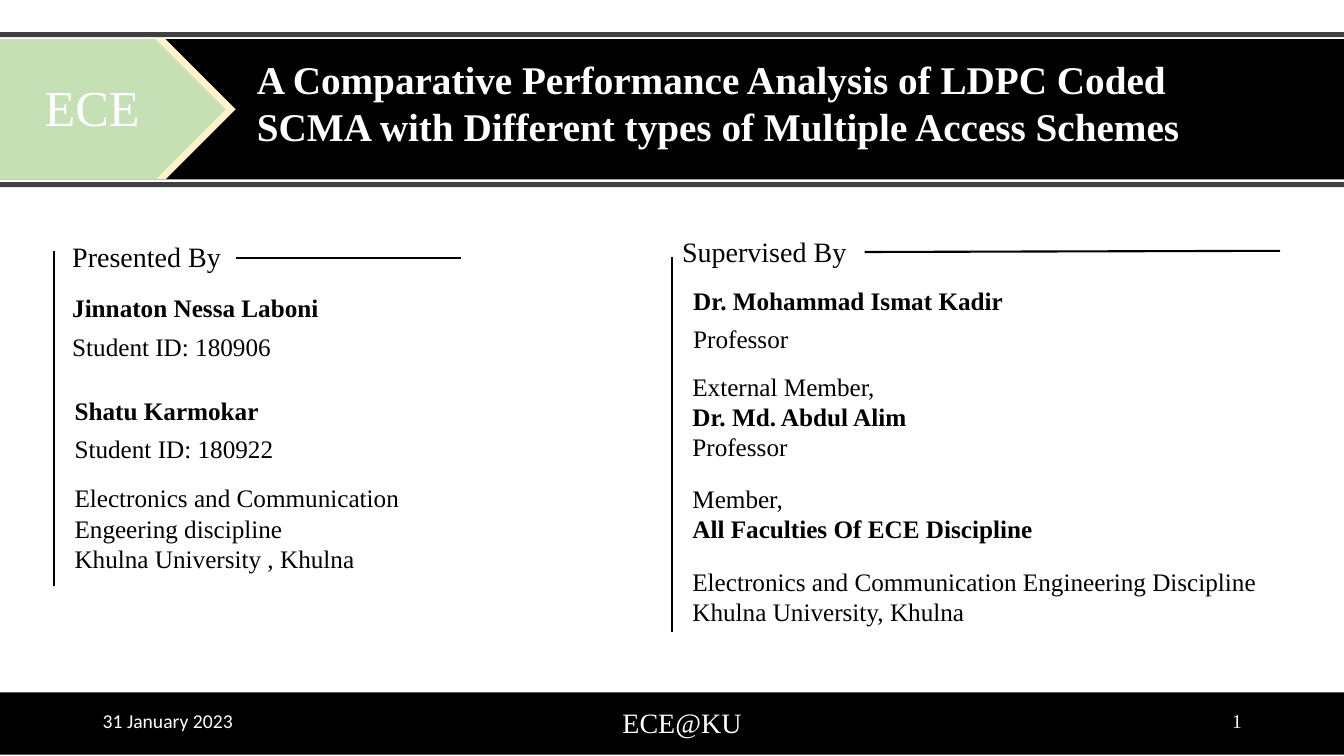
from lxml import etree
from pptx import Presentation
from pptx.dml.color import RGBColor
from pptx.enum.shapes import MSO_CONNECTOR as Link, MSO_SHAPE as Kind
from pptx.enum.text import MSO_ANCHOR as Anchor, MSO_AUTO_SIZE as Fit, PP_ALIGN as Align
from pptx.oxml.ns import qn
from pptx.util import Cm, Pt

SERIF = "Times New Roman"
BLACK, WHITE, GRAY = "000000", "FFFFFF", "404040"
GREEN, CREAM = "C5E0B4", "FFF2CC"


def paint(part, tint):
    part.rgb = RGBColor.from_string(tint)


def block(slide, kind, x, y, w, h, tint):
    shape = slide.shapes.add_shape(kind, Cm(x), Cm(y), Cm(w), Cm(h))
    shape.shadow.inherit = False
    shape.fill.solid()
    paint(shape.fill.fore_color, tint)
    shape.line.fill.background()


def rule(slide, x1, y1, x2, y2):
    line = slide.shapes.add_connector(Link.STRAIGHT, Cm(x1), Cm(y1), Cm(x2), Cm(y2))
    paint(line.line.color, BLACK)
    line.line.width = Pt(1.5)
    etree.SubElement(line._element.spPr, qn("a:effectLst"))


def write(frame, rows, size, tint, font=SERIF, align=Align.LEFT, anchor=Anchor.TOP, after=0):
    """Fill a frame with rows of (text, bold, line spacing)."""
    frame.word_wrap = True
    frame.auto_size = Fit.NONE
    frame.vertical_anchor = anchor
    for i, (words, bold, lead) in enumerate(rows):
        para = frame.add_paragraph() if i else frame.paragraphs[0]
        para.alignment = align
        para.line_spacing = lead
        para.space_before, para.space_after = Pt(0), Pt(after)
        run = para.add_run()
        run.text = words
        run.font.name, run.font.size, run.font.bold = font, Pt(size), bold
        paint(run.font.color, tint)


def label(slide, x, y, w, h, rows, size, tint, **style):
    box = slide.shapes.add_textbox(Cm(x), Cm(y), Cm(w), Cm(h))
    write(box.text_frame, rows, size, tint, **style)


def plain(words):
    return words, False, 1.0


def strong(words, lead=1.0):
    return words, True, lead


def header(slide, x, y, w, h):
    # Band between two thin rules
    edge, gap = 0.13, 0.18
    tall = h - 2 * gap - 0.02
    block(slide, Kind.RECTANGLE, x, y + gap, w, tall, BLACK)
    for top in (y, y + h - edge):
        block(slide, Kind.RECTANGLE, x, top, w, edge, GRAY)

    # Layered arrow with its tag
    for wide, tint in ((5.94, CREAM), (5.69, GREEN)):
        block(slide, Kind.PENTAGON, x, y + gap, wide, tall, tint)
    label(slide, x + 0.66, y + 0.99, 3.33, 1.8, [plain("ECE")], 36, WHITE, align=Align.CENTER)

    # Title, raised above the band
    title = slide.shapes.title
    title.left, title.top = Cm(x + 6.22), Cm(y + 0.46)
    title.width, title.height = Cm(23.93), Cm(3.43)
    words = "A Comparative Performance Analysis of LDPC Coded SCMA with Different types of Multiple Access Schemes"
    write(title.text_frame, [strong(words)], 28, WHITE)
    slide.shapes._spTree.append(title._element)


def panel(slide, x, y, head, bar, dash, notes):
    """Heading with a side bar, a dash beside it and notes below."""
    inset, words, wide = head
    label(slide, x + inset, y, wide, 1.12, [plain(words)], 20, BLACK)
    start, end = bar
    rule(slide, x, y + start, x, y + end)
    x1, y1, x2, y2 = dash
    rule(slide, x + x1, y + y1, x + x2, y + y2)
    for dx, dy, w, h, after, rows in notes:
        label(slide, x + dx, y + dy, w, h, rows, 18, BLACK, after=after)


def footer(slide, x, y, w, h):
    block(slide, Kind.RECTANGLE, x, y, w, h, BLACK)
    top = y + 0.2
    label(slide, x + 2.34, top, 7.62, 1.02, [plain("31 January 2023")], 14, WHITE,
          font="Calibri", anchor=Anchor.MIDDLE)
    label(slide, x + 13.42, top, 7.54, 1.12, [plain("ECE@KU")], 20, WHITE, align=Align.CENTER)
    label(slide, x + w - 9.94, top, 7.62, 1.02, [plain("1")], 14, WHITE,
          align=Align.RIGHT, anchor=Anchor.MIDDLE)


def main():
    deck = Presentation()
    deck.slide_width, deck.slide_height = Cm(33.87), Cm(19.05)
    slide = deck.slides.add_slide(deck.slide_layouts[5])

    header(slide, 0, 0.81, 33.87, 3.91)

    # Presenters
    panel(slide, 1.35, 5.92, (0.22, "Presented By", 4.88), (0.4, 8.84), (4.59, 0.58, 10.26, 0.58), [
        (0.22, 1.32, 7.14, 2, 6, [strong("Jinnaton Nessa Laboni"), plain("Student ID: 180906")]),
        (0.28, 3.53, 8.13, 2.4, 6, [strong("Shatu Karmokar", 1.5), plain("Student ID: 180922")]),
        (0.28, 6.12, 11.3, 2.56, 0, [plain("Electronics and Communication Engeering discipline"),
                                     plain("Khulna University , Khulna")]),
    ])

    # Supervisors
    panel(slide, 16.94, 5.79, (0, "Supervised By", 5.11), (0.69, 10.14), (4.85, 0.56, 15.32, 0.53), [
        (0.28, 1.27, 8.66, 2, 6, [strong("Dr. Mohammad Ismat Kadir"), plain("Professor")]),
        (0.26, 3.43, 6.55, 2.56, 0, [plain("External Member,"), strong("Dr. Md. Abdul Alim"),
                                     plain("Professor")]),
        (0.26, 6.27, 9.3, 1.8, 0, [plain("Member,"), strong("All Faculties Of ECE Discipline")]),
        (0.26, 8.36, 14.83, 1.8, 0, [plain("Electronics and Communication Engineering Discipline"),
                                     plain("Khulna University, Khulna")]),
    ])

    footer(slide, 0, 17.45, 33.87, 1.57)
    deck.save("out.pptx")


if __name__ == "__main__":
    main()
